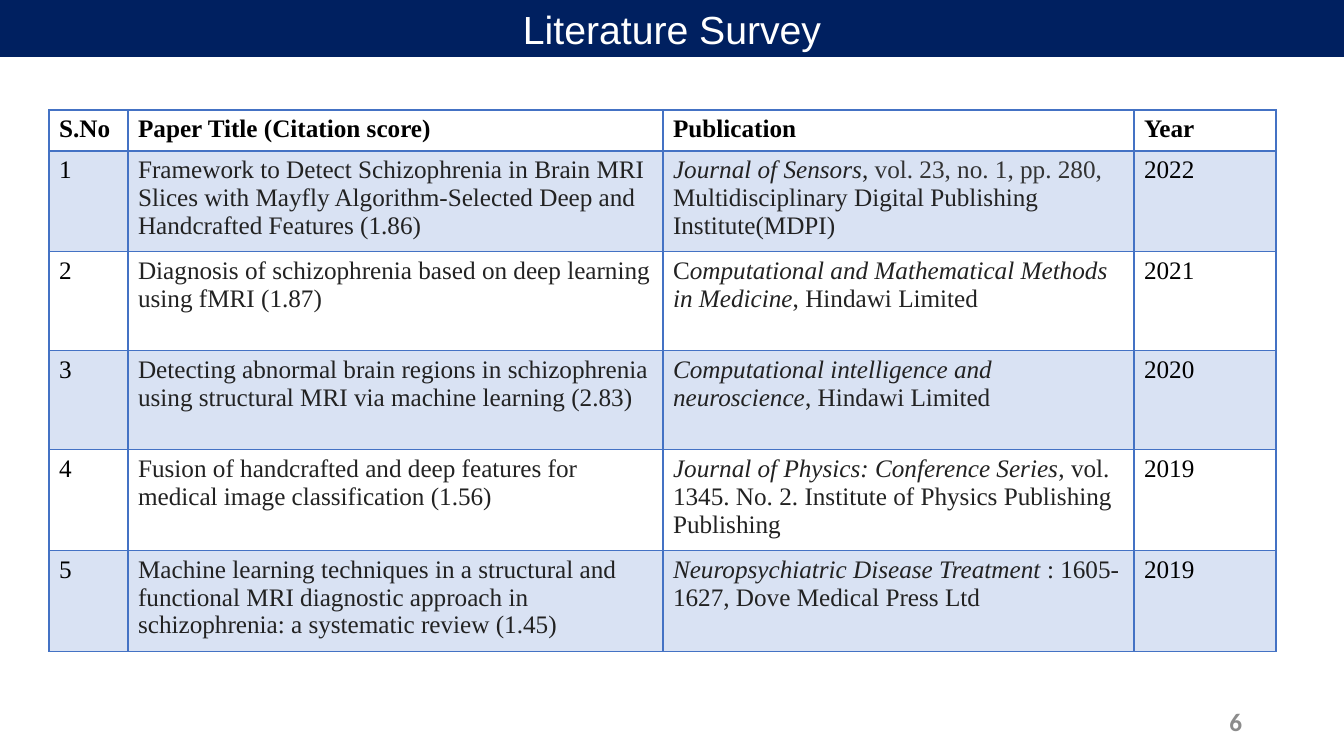
import lxml.etree
import pptx
import pptx.dml.color
import pptx.enum.text
import pptx.oxml.ns
import pptx.util

PX = 914400 / 100.8
COLORS = {
    "navy": "002060", "white": "FFFFFF", "black": "000000", "blue": "4472C4",
    "dark": "222222", "gray": "333333", "number": "8C8C8C",
}
COLUMN_WIDTHS = [79, 535, 471, 142]
ROW_HEIGHTS = [41, 100, 99, 99, 100, 100]
HEADINGS = ["S.No", "Paper Title (Citation score)", "Publication", "Year"]
# Each publication is a list of (text, italic, color) spans.
PAPERS = [
    ("Framework to Detect Schizophrenia in Brain MRI Slices with Mayfly "
     "Algorithm-Selected Deep and Handcrafted Features (1.86)",
     [("Journal of Sensors", True, "dark"), (",", False, "dark"),
      (" vol. 23, no. 1, pp. 280,", False, "gray"),
      (" Multidisciplinary Digital Publishing Institute(MDPI)", False, "dark")],
     "2022"),
    ("Diagnosis of schizophrenia based on deep learning using fMRI (1.87)",
     [("C", False, "dark"),
      ("omputational and Mathematical Methods in Medicine", True, "dark"),
      (", Hindawi Limited", False, "dark")],
     "2021"),
    ("Detecting abnormal brain regions in schizophrenia using structural MRI "
     "via machine learning (2.83)",
     [("Computational intelligence and neuroscience", True, "dark"),
      (", Hindawi Limited", False, "dark")],
     "2020"),
    ("Fusion of handcrafted and deep features for medical image classification (1.56)",
     [("Journal of Physics: Conference Series", True, "dark"),
      (", vol. 1345. No. 2. Institute of Physics Publishing Publishing", False, "dark")],
     "2019"),
    ("Machine learning techniques in a structural and functional MRI diagnostic "
     "approach in schizophrenia: a systematic review (1.45)",
     [("Neuropsychiatric Disease Treatment ", True, "dark"),
      (": 1605-1627, Dove Medical Press Ltd", False, "dark")],
     "2019"),
]


def px(*lengths):
    """Turn lengths in px into a list of EMU."""
    return [pptx.util.Emu(round(length * PX)) for length in lengths]


def set_font(font, name, size, color, bold=False):
    font.name = name
    font.size = pptx.util.Pt(size)
    font.bold = bold
    font.color.rgb = pptx.dml.color.RGBColor.from_string(COLORS[color])


deck = pptx.Presentation()
deck.slide_width, deck.slide_height = px(1344, 756)
page = deck.slides.add_slide(deck.slide_layouts[5])

# Title band
title = page.shapes.title
title.left, title.top, title.width, title.height = px(0, 0, 1344, 57)
title.fill.solid()
title.fill.fore_color.rgb = pptx.dml.color.RGBColor.from_string(COLORS["navy"])
title.text_frame.text = "Literature Survey"
title.text_frame.auto_size = pptx.enum.text.MSO_AUTO_SIZE.NONE
title.text_frame.vertical_anchor = pptx.enum.text.MSO_ANCHOR.MIDDLE
title_para = title.text_frame.paragraphs[0]
title_para.alignment = pptx.enum.text.PP_ALIGN.CENTER
set_font(title_para.font, "Arial", 28, "white")

# Page number
number_box = page.shapes.add_textbox(*px(950, 701, 302, 40))
number_box.text_frame.word_wrap = True
number_box.text_frame.vertical_anchor = pptx.enum.text.MSO_ANCHOR.MIDDLE
number_para = number_box.text_frame.paragraphs[0]
number_para.text = "6"
number_para.alignment = pptx.enum.text.PP_ALIGN.RIGHT
set_font(number_para.font, "Calibri", 18, "number", bold=True)

# Survey table
rows = [[[(heading, False, "black")] for heading in HEADINGS]]
for number, (paper, publication, year) in enumerate(PAPERS, 1):
    rows.append([[(str(number), False, "black")], [(paper, False, "dark")],
                 publication, [(year, False, "black")]])

table = page.shapes.add_table(
    len(rows), len(HEADINGS),
    *px(49, 110, sum(COLUMN_WIDTHS), sum(ROW_HEIGHTS))).table
table.first_row = True
table.horz_banding = False
for column, width in zip(table.columns, px(*COLUMN_WIDTHS)):
    column.width = width
for row, height in zip(table.rows, px(*ROW_HEIGHTS)):
    row.height = height

qn = pptx.oxml.ns.qn
for row_index, row in enumerate(rows):
    for column_index, spans in enumerate(row):
        cell = table.cell(row_index, column_index)
        para = cell.text_frame.paragraphs[0]
        set_font(para.font, "Times New Roman", 18, spans[0][2], bold=row_index == 0)
        for text, italic, color in spans:
            span = para.add_run()
            span.text = text
            set_font(span.font, "Times New Roman", 18, color, bold=row_index == 0)
            span.font.italic = italic

        properties = cell._tc.get_or_add_tcPr()
        for side in ("lnL", "lnR", "lnT", "lnB"):
            under_header = (row_index, side) in ((0, "lnB"), (1, "lnT"))
            line = lxml.etree.SubElement(
                properties, qn(f"a:{side}"),
                w=str(pptx.util.Pt(2 if under_header else 1)))
            line_fill = lxml.etree.SubElement(line, qn("a:solidFill"))
            lxml.etree.SubElement(line_fill, qn("a:srgbClr"), val=COLORS["blue"])

        if row_index % 2:
            cell.fill.solid()
            cell.fill.fore_color.rgb = pptx.dml.color.RGBColor.from_string(COLORS["blue"])
            tint = properties.find(qn("a:solidFill")).find(qn("a:srgbClr"))
            lxml.etree.SubElement(tint, qn("a:alpha"), val="20000")
        else:
            cell.fill.background()

deck.save("out.pptx")
